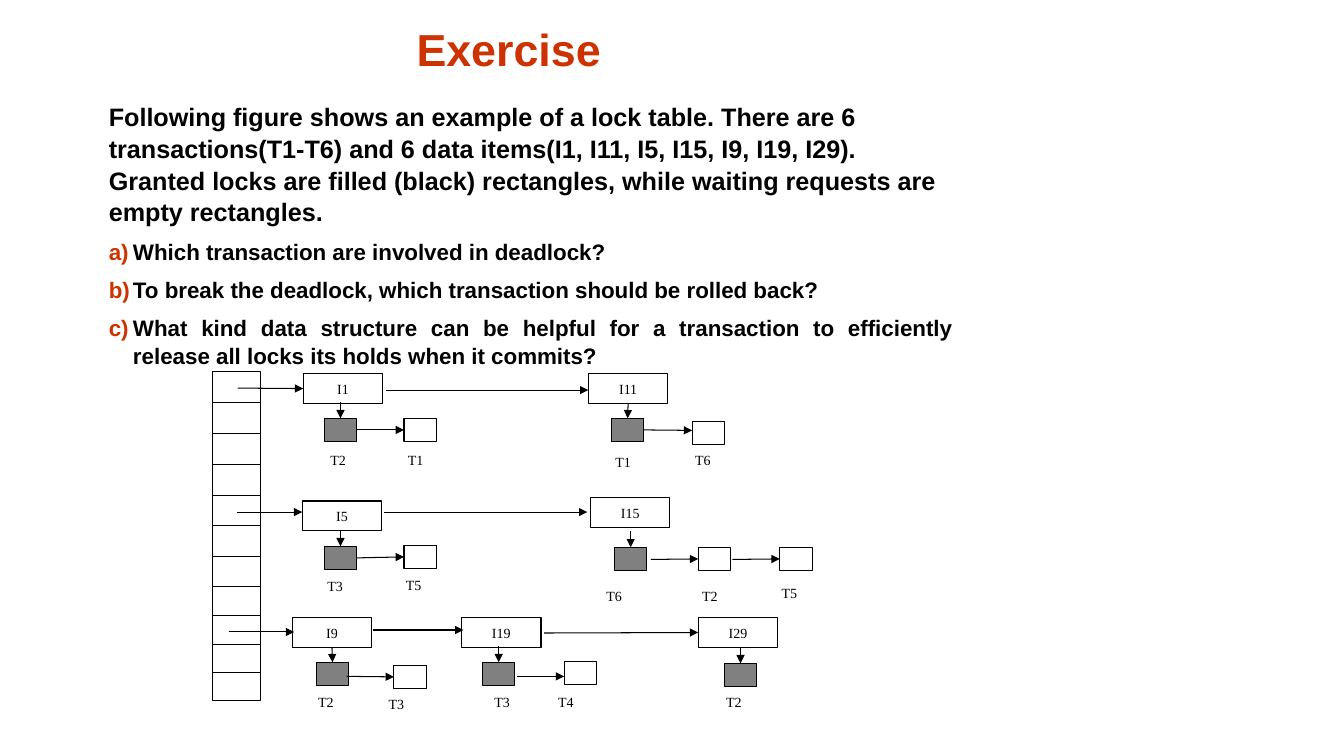
from dataclasses import dataclass

from lxml import etree
from pptx import Presentation
from pptx.dml.color import RGBColor
from pptx.enum import shapes, text
from pptx.oxml import ns
from pptx.util import Inches, Pt


@dataclass(frozen=True)
class Theme:
    ink = RGBColor.from_string("000000")
    paper = RGBColor.from_string("FFFFFF")
    red = RGBColor.from_string("CC3300")
    grey = RGBColor.from_string("808080")
    sans = "Arial"
    serif = "Times New Roman"
    title = 32
    intro = 18
    ask = 16
    label = 10
    rule = 0.75


THEME = Theme()
ITEM = (0.79, 0.29)
LOCK = (0.32, 0.23)
DROP = 0.16
STEP = 0.47
NEAR = 0.01

INTRO = (
    "Following figure shows an example of a lock table. There are 6 "
    "transactions(T1-T6) and 6 data items(I1, I11, I5, I15, I9, I19, I29). "
    "Granted locks are filled (black) rectangles, while waiting requests are "
    "empty rectangles."
)
ASKS = [
    "Which transaction are involved in deadlock?",
    "To break the deadlock, which transaction should be rolled back?",
    "What kind data structure can be helpful for a transaction to efficiently "
    "release all locks its holds when it commits?",
]

ROWS = [3.99, 4.3, 4.61, 4.92, 5.21, 5.52, 5.82, 6.11, 6.39, 6.67]

# name, left, top, arrow height, locks as (left, top, holder, label left, label top)
ITEMS = [
    ("I1", 3.01, 3.71, 4.27,
     [(3.22, 4.15, "T2", 3.18, 4.43), (4.01, 4.15, "T1", 3.95, 4.43)]),
    ("I11", 5.84, 3.71, 4.27,
     [(6.07, 4.15, "T1", 6.01, 4.45), (6.87, 4.18, "T6", 6.8, 4.43)]),
    ("I5", 3, 4.97, 5.53,
     [(3.22, 5.42, "T3", 3.15, 5.68), (4.01, 5.41, "T5", 3.93, 5.67)]),
    ("I15", 5.86, 4.94, 5.55,
     [(6.1, 5.43, "T6", 5.92, 5.78), (6.93, 5.43, "T2", 6.87, 5.78),
      (7.74, 5.43, "T5", 7.66, 5.75)]),
    ("I9", 2.9, 6.13, 6.71,
     [(3.14, 6.57, "T2", 3.06, 6.83), (3.91, 6.6, "T3", 3.76, 6.85)]),
    ("I19", 4.58, 6.13, 6.71,
     [(4.79, 6.57, "T3", 4.81, 6.83), (5.6, 6.56, "T4", 5.44, 6.83)]),
    ("I29", 6.93, 6.13, 6.71, [(7.19, 6.58, "T2", 7.11, 6.83)]),
]

CHAINS = [
    (2.36, 3.01, 3.85), (2.35, 3, 5.08), (2.27, 2.92, 6.27),
    (3.83, 5.84, 3.87), (3.81, 5.83, 5.08),
    (3.7, 4.6, 6.25), (5.4, 6.93, 6.28),
]


def write(para, words, size, font, ink=THEME.ink, bold=False):
    run = para.add_run()
    run.text = words
    run.font.size = Pt(size)
    run.font.name = font
    run.font.bold = bold
    run.font.color.rgb = ink


def place(shape, left, top, width, height):
    shape.left, shape.top = Inches(left), Inches(top)
    shape.width, shape.height = Inches(width), Inches(height)


def mark(para, tag, **attrs):
    return etree.SubElement(para._p.get_or_add_pPr(), ns.qn(tag), **attrs)


def indent(para, inset):
    props = para._p.get_or_add_pPr()
    props.set("marL", str(Inches(inset)))
    props.set("indent", str(Inches(-inset)))


def head(slide):
    title = slide.shapes.title
    place(title, 1.12, 0.13, 7.86, 0.67)
    frame = title.text_frame
    frame.auto_size = text.MSO_AUTO_SIZE.NONE
    frame.vertical_anchor = text.MSO_ANCHOR.BOTTOM
    para = frame.paragraphs[0]
    para.alignment = text.PP_ALIGN.CENTER
    write(para, "Exercise", THEME.title, THEME.sans, THEME.red, True)


def body(slide):
    holder = slide.placeholders[1]
    place(holder, 0.98, 0.94, 8.58, 2.66)
    frame = holder.text_frame
    frame.auto_size = text.MSO_AUTO_SIZE.NONE
    frame.vertical_anchor = text.MSO_ANCHOR.TOP
    para = frame.paragraphs[0]
    para.line_spacing = 1.05
    para.space_before = Pt(0)
    indent(para, 0)
    mark(para, "a:buNone")
    write(para, INTRO, THEME.intro, THEME.sans, bold=True)
    for ask in ASKS:
        para = frame.add_paragraph()
        para.alignment = text.PP_ALIGN.JUSTIFY
        para.line_spacing = 1.05
        para.space_before = Pt(7)
        indent(para, 0.24)
        tint = mark(para, "a:buClr")
        etree.SubElement(tint, ns.qn("a:srgbClr"), val=str(THEME.red))
        mark(para, "a:buFont", typeface=THEME.sans)
        mark(para, "a:buAutoNum", type="alphaLcParenR")
        write(para, ask, THEME.ask, THEME.sans, bold=True)


def box(fig, left, top, size, fill=THEME.paper, name=None):
    shape = fig.add_shape(shapes.MSO_SHAPE.RECTANGLE, 0, 0, 0, 0)
    place(shape, left, top, *size)
    shape.shadow.inherit = False
    shape.fill.solid()
    shape.fill.fore_color.rgb = fill
    shape.line.color.rgb = THEME.ink
    shape.line.width = Pt(THEME.rule)
    if name:
        para = shape.text_frame.paragraphs[0]
        para.alignment = text.PP_ALIGN.CENTER
        write(para, name, THEME.label, THEME.serif)
    return shape


def label(fig, left, top, name):
    frame = fig.add_textbox(
        Inches(left), Inches(top), Inches(0.48), Inches(0.3)).text_frame
    frame.word_wrap = True
    write(frame.paragraphs[0], name, THEME.label, THEME.serif)


def line(fig, start, end):
    rule = fig.add_connector(
        shapes.MSO_CONNECTOR.STRAIGHT, *map(Inches, start + end))
    rule.line.color.rgb = THEME.ink
    rule.line.width = Pt(THEME.rule)
    etree.SubElement(rule._element.spPr, ns.qn("a:effectLst"))
    return rule


def sides(shape):
    mid = shape.left + shape.width // 2
    half = shape.top + shape.height // 2
    return [(mid, shape.top), (shape.left, half),
            (mid, shape.top + shape.height), (shape.left + shape.width, half)]


def arrow(fig, start, end, boxes):
    rule = line(fig, start, end)
    stroke = rule._element.spPr.find(ns.qn("a:ln"))
    etree.SubElement(stroke, ns.qn("a:tailEnd"), type="triangle")
    for point, join in ((start, rule.begin_connect), (end, rule.end_connect)):
        for shape in boxes:
            for site, spot in enumerate(sides(shape)):
                if all(abs(Inches(a) - b) <= Inches(NEAR) + 9
                       for a, b in zip(point, spot)):
                    join(shape, site)


def table(fig):
    box(fig, 2.11, 3.69, (0.48, 3.26))
    for row in ROWS:
        line(fig, (2.11, row), (2.59, row))


def locks(fig):
    boxes, links = [], [((x, y), (end, y)) for x, end, y in CHAINS]
    for name, left, top, flow, queue in ITEMS:
        boxes.append(box(fig, left, top, ITEM, name=name))
        for turn, (x, y, holder, tx, ty) in enumerate(queue):
            fill = THEME.paper if turn else THEME.grey
            boxes.append(box(fig, x, y, LOCK, fill))
            label(fig, tx, ty, holder)
            if turn:
                links.append(((x - STEP, flow), (x, flow)))
            else:
                mid = x + LOCK[0] / 2
                links.append(((mid, y - DROP), (mid, y)))
    for start, end in links:
        arrow(fig, start, end, boxes)


def main():
    deck = Presentation()
    deck.slide_width, deck.slide_height = Inches(13.34), Inches(7.5)
    slide = deck.slides.add_slide(deck.slide_layouts[1])
    head(slide)
    body(slide)
    fig = slide.shapes.add_group_shape().shapes
    table(fig)
    locks(fig)
    deck.save("out.pptx")


if __name__ == "__main__":
    main()
